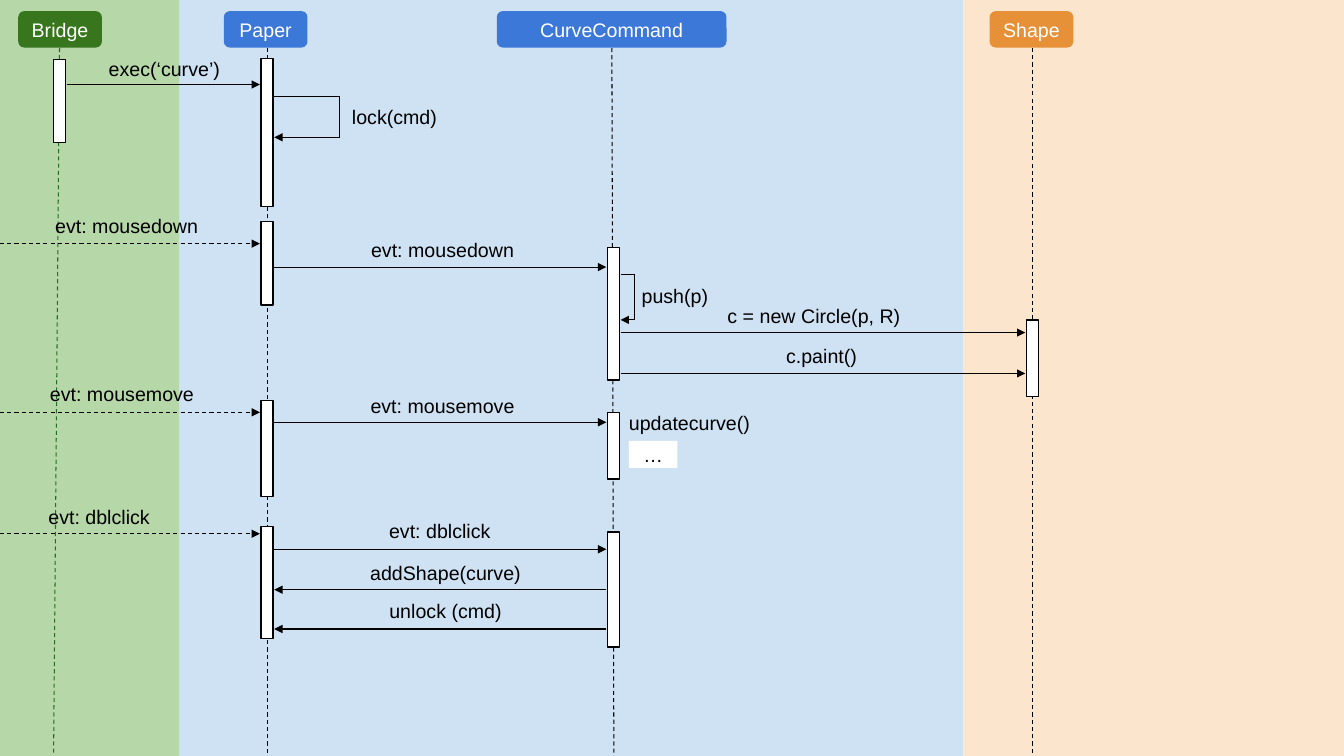
"""Build a sequence diagram slide for the curve drawing command."""
from lxml.etree import SubElement
from pptx import Presentation
from pptx.dml.color import RGBColor
from pptx.enum.dml import MSO_LINE_DASH_STYLE as Dash
from pptx.enum.shapes import MSO_CONNECTOR as Link, MSO_SHAPE as Kind
from pptx.enum.text import MSO_ANCHOR as Anchor, PP_ALIGN as Align
from pptx.oxml.ns import qn
from pptx.util import Cm, Pt

WIDTH, HEIGHT = 33.87, 19.05
BLACK, WHITE = "000000", "FFFFFF"
BAR_WIDTH, BAR_GAP, LABEL_HEIGHT = 0.31, 0.18, 0.86
HEAD_TOP, HEAD_HEIGHT, LIFELINE_TOP = 0.28, 0.92, 1.21

# left, width, colour
PANELS = [(0, 4.53, "B6D7A8"), (4.53, 19.75, "CFE2F3"), (24.28, 9.59, "FCE5CD")]

# head left, head width, head colour, lifeline top x, bottom x, line colour
ACTORS = {
    "Bridge": (0.46, 2.11, "38761D", 1.5, 1.35, "286A28"),
    "Paper": (5.64, 2.11, "3C78D8", 6.73, 6.73, BLACK),
    "CurveCommand": (12.52, 5.79, "3C78D8", 15.42, 15.47, BLACK),
    "Shape": (24.94, 2.11, "E69138", 26.02, 26.02, BLACK),
}

# bar centre, then (top, height) of each bar
BARS = {
    "Bridge": (1.5, [(1.5, 2.1)]),
    "Paper": (6.73, [(1.47, 3.73), (5.58, 2.11), (10.1, 2.42), (13.27, 2.82)]),
    "CurveCommand": (15.46, [(6.23, 3.35), (10.39, 1.68), (13.41, 2.9)]),
    "Shape": (26.02, [(8.06, 1.93)]),
}

# sender (None is the slide edge), receiver, y
MESSAGES = [
    ("Bridge", "Paper", 2.13),
    (None, "Paper", 6.14),
    (None, "Paper", 10.39),
    (None, "Paper", 13.45),
    ("Paper", "CurveCommand", 6.73),
    ("Paper", "CurveCommand", 10.64),
    ("Paper", "CurveCommand", 13.84),
    ("CurveCommand", "Paper", 14.86),
    ("CurveCommand", "Paper", 15.85),
    ("CurveCommand", "Shape", 8.38),
    ("CurveCommand", "Shape", 9.41),
]

# actor, top, bottom, right
SELF_CALLS = [("Paper", 2.43, 3.46, 8.56), ("CurveCommand", 6.91, 8.06, 15.99)]

# text, left, top, width
LEFT_LABELS = [
    ("exec(‘curve’)", 2.49, 1.3, 3.5),
    ("lock(cmd)", 8.62, 2.52, 2.9),
    ("evt: mousedown", 1.14, 5.27, 4.3),
    ("evt: mousemove", 1.01, 9.51, 4.3),
    ("evt: dblclick", 0.97, 12.6, 3.3),
    ("push(p)", 15.92, 7.03, 4.14),
    ("updatecurve()", 15.6, 10.24, 4.14),
]
CENTRED_LABELS = [
    ("evt: mousedown", 7.42, 5.87, 7.47),
    ("evt: mousemove", 7.42, 9.79, 7.47),
    ("evt: dblclick", 7.39, 12.95, 7.39),
    ("addShape(curve)", 7.42, 14.0, 7.62),
    ("unlock (cmd)", 7.42, 14.97, 7.62),
    ("c = new Circle(p, R)", 15.65, 7.54, 9.73),
    ("c.paint()", 15.75, 8.54, 9.91),
]
MORE_STEPS = ("…", 15.85, 11.11, 1.22, 0.68)


def colour(value):
    return RGBColor.from_string(value)


def write(box, text, align, ink=BLACK):
    box.text_frame.text = text
    box.text_frame.word_wrap = True
    para = box.text_frame.paragraphs[0]
    para.alignment = align
    font = para.runs[0].font
    font.name, font.size = "Arial", Pt(14)
    font.color.rgb = colour(ink)


def add_block(page, left, top, width, height, fill, kind=Kind.RECTANGLE, outline=None):
    block = page.shapes.add_shape(kind, Cm(left), Cm(top), Cm(width), Cm(height))
    block.shadow.inherit = False
    block.fill.solid()
    block.fill.fore_color.rgb = colour(fill)
    if outline:
        block.line.color.rgb = colour(outline)
        block.line.width = Pt(1)
    else:
        block.line.fill.background()
    block.text_frame.vertical_anchor = Anchor.MIDDLE
    return block


def add_label(page, text, left, top, width, align):
    box = page.shapes.add_textbox(Cm(left), Cm(top), Cm(width), Cm(LABEL_HEIGHT))
    write(box, text, align)


def add_line(page, start, end, ink=BLACK, dashed=False, arrow=False):
    points = [Cm(value) for value in (*start, *end)]
    link = page.shapes.add_connector(Link.STRAIGHT, *points)
    link.line.color.rgb = colour(ink)
    link.line.width = Pt(0.75)
    if dashed:
        link.line.dash_style = Dash.DASH
    if arrow:
        SubElement(link.line._get_or_add_ln(), qn("a:tailEnd"), type="triangle")
    SubElement(link._element.spPr, qn("a:effectLst"))


def add_actors(page):
    for name, (left, width, fill, top_x, bottom_x, ink) in ACTORS.items():
        add_line(page, (top_x, LIFELINE_TOP), (bottom_x, HEIGHT), ink, dashed=True)
        head = add_block(page, left, HEAD_TOP, width, HEAD_HEIGHT, fill, Kind.ROUNDED_RECTANGLE)
        write(head, name, Align.CENTER, WHITE)
    for centre, spans in BARS.values():
        for top, height in spans:
            add_block(page, centre - BAR_WIDTH / 2, top, BAR_WIDTH, height, WHITE, outline=BLACK)


def add_messages(page):
    for sender, receiver, y in MESSAGES:
        target = BARS[receiver][0]
        source = BARS[sender][0] if sender else -BAR_GAP
        step = BAR_GAP if source < target else -BAR_GAP
        add_line(page, (source + step, y), (target - step, y), dashed=not sender, arrow=True)
    for actor, top, bottom, right in SELF_CALLS:
        edge = BARS[actor][0] + BAR_GAP
        corners = [(edge, top), (right, top), (right, bottom), (edge, bottom)]
        for start, end in zip(corners, corners[1:]):
            add_line(page, start, end, arrow=end == corners[-1])


def main():
    deck = Presentation()
    deck.slide_width, deck.slide_height = Cm(WIDTH), Cm(HEIGHT)
    page = deck.slides.add_slide(deck.slide_layouts[6])
    for left, width, fill in PANELS:
        add_block(page, left, 0, width, HEIGHT, fill)
    add_actors(page)
    add_messages(page)
    for labels, align in ((LEFT_LABELS, Align.LEFT), (CENTRED_LABELS, Align.CENTER)):
        for label in labels:
            add_label(page, *label, align)
    text, *place = MORE_STEPS
    write(add_block(page, *place, WHITE), text, Align.CENTER)
    deck.save("out.pptx")


if __name__ == "__main__":
    main()
